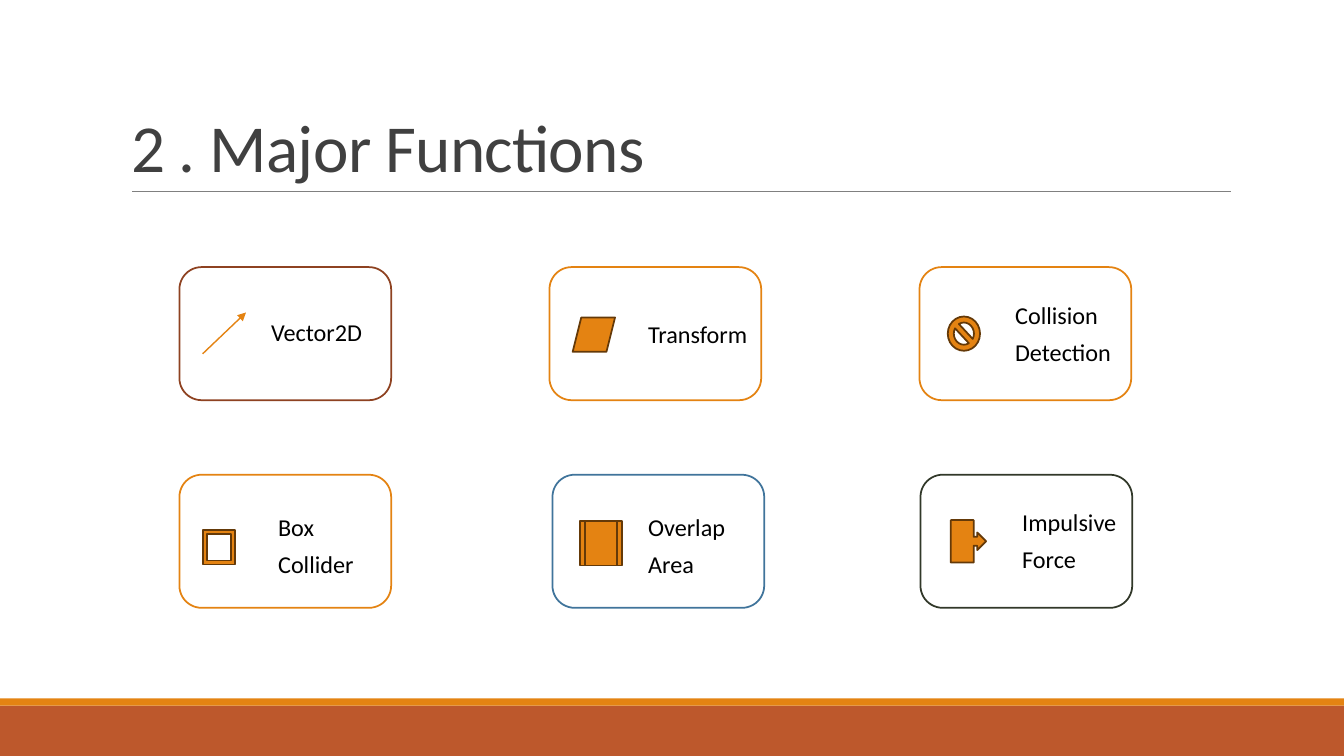
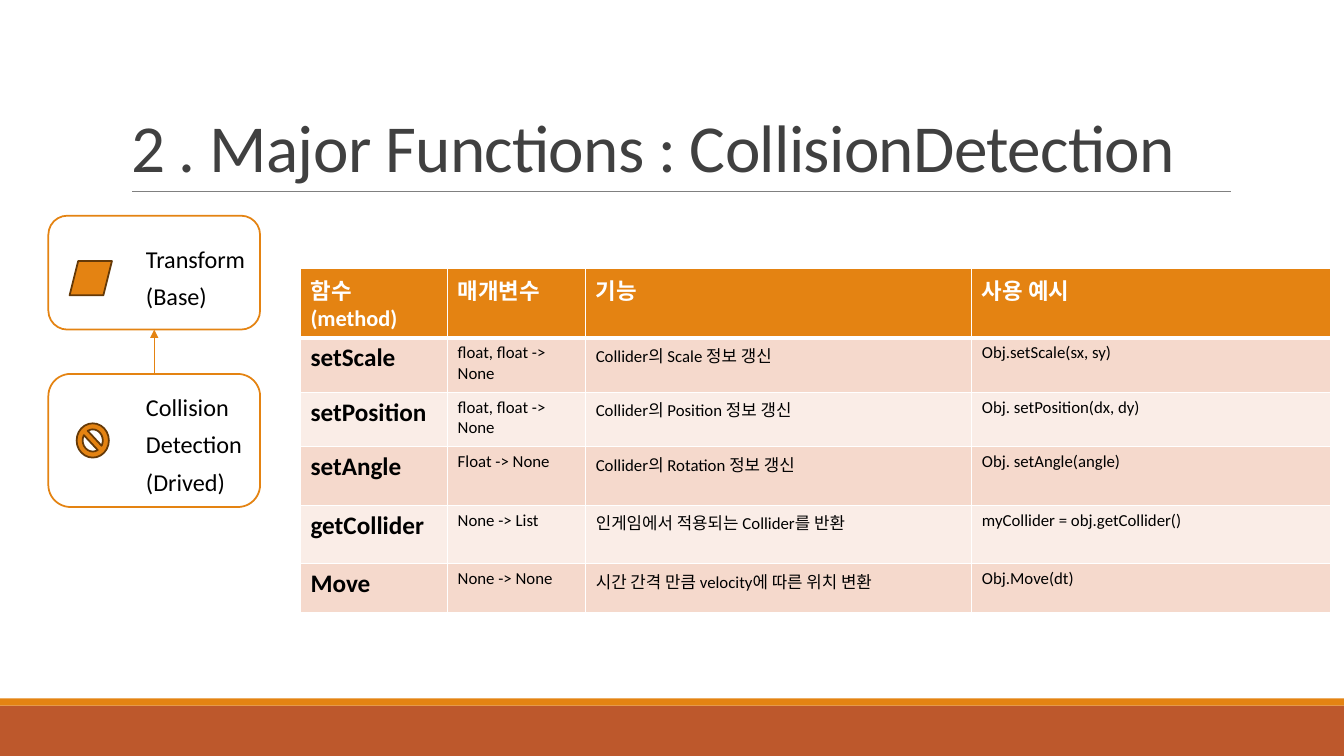
"""Build two slides on the major functions of a physics engine."""
from lxml import etree
from pptx import Presentation
from pptx.dml.color import RGBColor
from pptx.enum.shapes import MSO_CONNECTOR, MSO_SHAPE
from pptx.enum.text import MSO_ANCHOR, MSO_AUTO_SIZE, PP_ALIGN
from pptx.oxml.ns import qn
from pptx.util import Inches, Pt

RECT = MSO_SHAPE.RECTANGLE
ROUND = MSO_SHAPE.ROUNDED_RECTANGLE
SLANT = MSO_SHAPE.PARALLELOGRAM
BAN = MSO_SHAPE.NO_SYMBOL
FRAME = MSO_SHAPE.FRAME
PANEL = MSO_SHAPE.FLOWCHART_PREDEFINED_PROCESS
PUSH = MSO_SHAPE.RIGHT_ARROW_CALLOUT
LINE = MSO_CONNECTOR.STRAIGHT

HEX = {
    "white": "FFFFFF", "black": "000000", "title": "404040", "rule": "808080",
    "orange": "E48312", "rust": "BD582C", "edge": "643908", "brown": "8E4221",
    "blue": "40749B", "green": "313829", "dark": "F5D9CC", "light": "FAEDE7",
}
FONT = "Calibri"
HEAD = {"name": FONT, "size": Pt(48), "bold": False}
LABEL = {"name": FONT, "size": Pt(17.3)}
TOP = {"name": FONT, "size": Pt(16), "bold": True}
NAME = {"name": FONT, "size": Pt(18), "bold": True}
CELL = {"name": FONT, "size": Pt(12), "bold": False}

COLS = [1.78, 5.45, 9.12]
ROWS = [2.65, 4.71]
CARD = (2.1, 1.32)

CARDS = [
    (COLS[0], ROWS[0], "brown", (2.59, 3.1, 1.13), ["Vector2D"]),
    (COLS[1], ROWS[0], "orange", (6.33, 3.12, 1.23), ["Transform"]),
    (COLS[2], ROWS[0], "orange", (9.97, 2.93, 2.1), ["Collision", "Detection"]),
    (COLS[0], ROWS[1], "orange", (2.66, 5.03, 1.41), ["Box", "Collider"]),
    (COLS[1] + 0.03, ROWS[1], "blue", (6.33, 5.03, 1.41), ["Overlap", "Area"]),
    (COLS[2] + 0.01, ROWS[1], "green", (10.04, 4.98, 1.23), ["Impulsive", "Force"]),
]
ICONS = [
    (SLANT, (5.68, 3.15, 0.42, 0.34)),
    (BAN, (9.4, 3.14, 0.32, 0.34)),
    (FRAME, (2.01, 5.26, 0.32, 0.34)),
    (PANEL, (5.75, 5.17, 0.42, 0.44)),
    (PUSH, (9.43, 5.16, 0.35, 0.42)),
]
WIDTHS = [1.46, 1.37, 3.83, 3.56]
HEIGHTS = [0.5, 0.54, 0.54, 0.58, 0.58, 0.49]
TABLE = [
    ["함수(method)", "매개변수", "기능", "사용 예시"],
    ["setScale", "float, float -> None", "Collider의 Scale 정보 갱신", "Obj.setScale(sx, sy)"],
    ["setPosition", "float, float -> None", "Collider의 Position 정보 갱신",
     "Obj. setPosition(dx, dy)"],
    ["setAngle", "Float -> None", "Collider의 Rotation 정보 갱신", "Obj. setAngle(angle)"],
    ["getCollider", "None -> List", "인게임에서 적용되는 Collider를 반환",
     "myCollider = obj.getCollider()"],
    ["Move", "None -> None", "시간 간격 만큼 velocity에 따른 위치 변환", "Obj.Move(dt)"],
]


def tint(name):
    return RGBColor.from_string(HEX[name])


def style(part, form):
    for key, value in form.items():
        setattr(part, key, value)


def ink(para, form, shade):
    for run in para.runs:
        style(run.font, form)
        run.font.color.rgb = tint(shade)


def shape(slide, kind, box, fill, edge=None):
    item = slide.shapes.add_shape(kind, *map(Inches, box))
    item.shadow.inherit = False
    item.fill.solid()
    item.fill.fore_color.rgb = tint(fill)
    if edge:
        item.line.color.rgb = tint(edge)
        item.line.width = Pt(1.25)
    else:
        item.line.fill.background()
    return item


def icon(slide, kind, box):
    shape(slide, kind, box, "orange", "edge")


def line(slide, ends, shade, width, arrow=False):
    item = slide.shapes.add_connector(LINE, *map(Inches, ends))
    item.line.color.rgb = tint(shade)
    item.line.width = Pt(width)
    props = item.element.spPr
    if arrow:
        etree.SubElement(props.find(qn("a:ln")), qn("a:tailEnd"), type="triangle")
    etree.SubElement(props, qn("a:effectLst"))
    return item


def label(slide, spot, words):
    high = 0.39 + 0.375 * (len(words) - 1)
    frame = slide.shapes.add_textbox(*map(Inches, (*spot, high))).text_frame
    frame.word_wrap = True
    frame.text = "\n".join(words)
    for para in frame.paragraphs:
        para.space_after = Pt(6)
        ink(para, LABEL, "black")


def card(slide, box, edge, spot, words):
    shape(slide, ROUND, box, "white", edge)
    label(slide, spot, words)


def title(slide, text):
    frame = slide.shapes.title.text_frame
    frame.text = text
    style(frame, {"vertical_anchor": MSO_ANCHOR.BOTTOM, "word_wrap": True,
                  "auto_size": MSO_AUTO_SIZE.NONE})
    para = frame.paragraphs[0]
    style(para, {"alignment": PP_ALIGN.LEFT, "line_spacing": 0.85})
    ink(para, HEAD, "title")
    para.runs[0].font._element.set("spc", "-50")


def border(cell, side, width):
    edge = etree.SubElement(cell._tc.get_or_add_tcPr(), qn("a:" + side), w=str(Pt(width)))
    fill = etree.SubElement(edge, qn("a:solidFill"))
    etree.SubElement(fill, qn("a:srgbClr"), val=HEX["white"])


def fill_cell(cell, text, row, col):
    thick = {"lnT": row == 1, "lnB": row == 0}
    for side in ("lnL", "lnR", "lnT", "lnB"):
        border(cell, side, 3 if thick.get(side) else 1)
    cell.fill.solid()
    cell.fill.fore_color.rgb = tint(("dark" if row % 2 else "light") if row else "orange")
    cell.text = text
    form = (CELL if col else NAME) if row else TOP
    ink(cell.text_frame.paragraphs[0], form, "black" if row else "white")


def table(slide, left, top):
    box = (left, top, sum(WIDTHS), sum(HEIGHTS))
    grid = slide.shapes.add_table(len(TABLE), len(WIDTHS), *map(Inches, box)).table
    for col, width in zip(grid.columns, WIDTHS):
        col.width = Inches(width)
    for row, height in zip(grid.rows, HEIGHTS):
        row.height = Inches(height)
    for i, texts in enumerate(TABLE):
        for j, text in enumerate(texts):
            fill_cell(grid.cell(i, j), text, i, j)


def theme(layout, slide):
    first, *rest = layout.placeholders
    for item in rest:
        item.element.getparent().remove(item.element)
    style(first, {"left": Inches(1.2), "top": Inches(0.31),
                  "width": Inches(11), "height": Inches(1.59)})
    parts = [
        shape(slide, RECT, (0, 7, 13.33, 0.5), "rust"),
        shape(slide, RECT, (0, 6.93, 13.33, 0.07), "orange"),
        line(slide, (1.31, 1.9, 12.21, 1.9), "rule", 0.5),
    ]
    for part in parts:
        layout.shapes.element.append(part.element)


def main():
    deck = Presentation()
    style(deck, {"slide_width": Inches(13.33), "slide_height": Inches(7.5)})
    layout = deck.slide_layouts[5]
    first, second = [deck.slides.add_slide(layout) for _ in range(2)]
    theme(layout, first)

    title(first, "2 . Major Functions")
    for left, top, edge, spot, words in CARDS:
        card(first, (left, top, *CARD), edge, spot, words)
    line(first, (2.01, 3.51, 2.44, 3.1), "orange", 1, True)
    for kind, box in ICONS:
        icon(first, kind, box)

    title(second, "2 . Major Functions : CollisionDetection")
    table(second, 2.98, 2.66)
    card(second, (0.48, 3.71, *CARD), "orange", (1.35, 3.84, 2.1),
         ["Collision", "Detection", "(Drived)"])
    icon(second, BAN, (0.76, 4.2, 0.32, 0.34))
    card(second, (0.48, 2.14, 2.1, 1.13), "orange", (1.35, 2.37, 1.23),
         ["Transform", "(Base)"])
    icon(second, SLANT, (0.69, 2.59, 0.42, 0.34))
    line(second, (1.53, 3.71, 1.53, 3.27), "orange", 1, True)
    deck.save("out.pptx")


if __name__ == "__main__":
    main()
